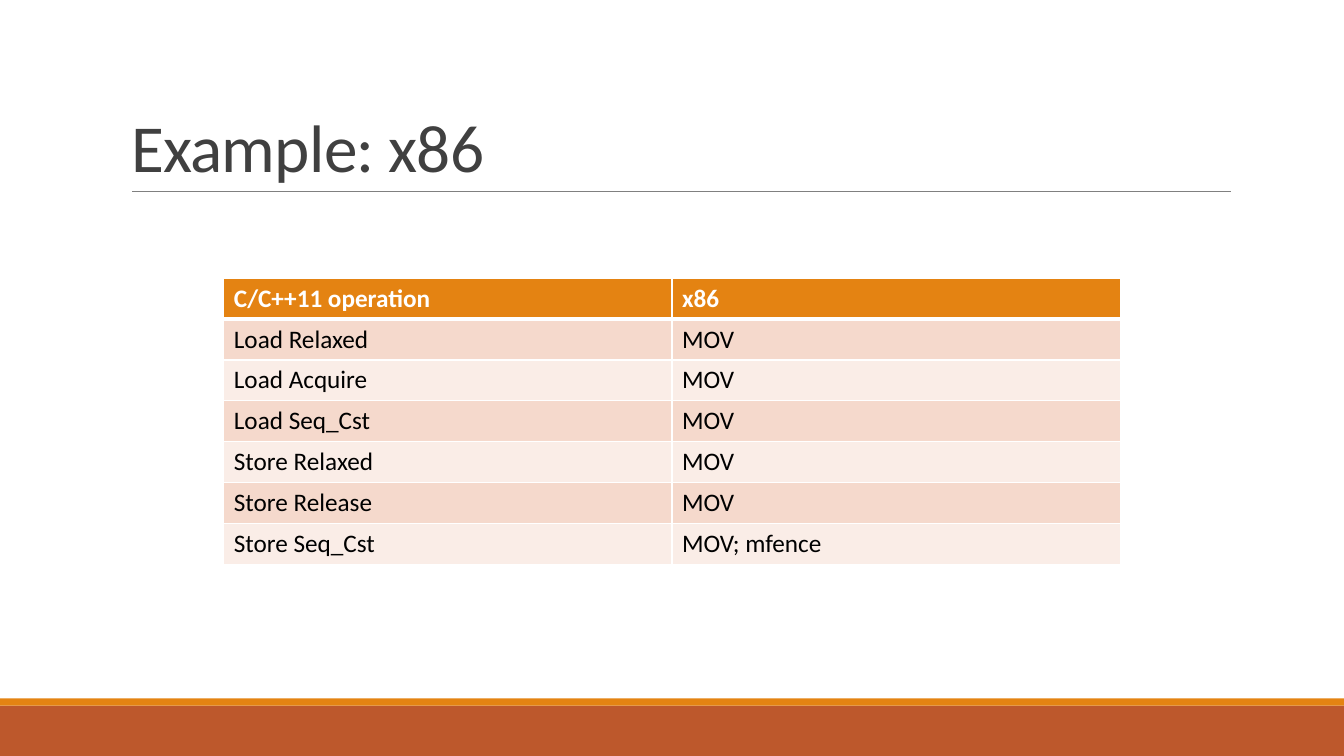
from dataclasses import dataclass

from lxml import etree
from pptx import Presentation
from pptx.dml.color import RGBColor
from pptx.enum.shapes import MSO_CONNECTOR, MSO_SHAPE
from pptx.enum.text import MSO_ANCHOR, MSO_AUTO_SIZE, PP_ALIGN
from pptx.oxml.ns import qn
from pptx.slide import Slide
from pptx.table import _Cell
from pptx.text.text import Font
from pptx.util import Inches, Pt

RECTANGLE = MSO_SHAPE.RECTANGLE
STRAIGHT = MSO_CONNECTOR.STRAIGHT
BOTTOM = MSO_ANCHOR.BOTTOM
LEFT = PP_ALIGN.LEFT
NO_AUTOFIT = MSO_AUTO_SIZE.NONE
TITLE_ONLY = 5


@dataclass(frozen=True)
class Theme:
    font: str = "Calibri"
    title_size: int = 48
    table_size: int = 18
    title: str = "404040"
    rule: str = "808080"
    accent: str = "E48312"
    footer: str = "BD582C"
    header_text: str = "FFFFFF"
    body_text: str = "000000"
    grid: str = "FFFFFF"
    bands: tuple[str, str] = ("F5D9CC", "FAEDE7")


@dataclass(frozen=True)
class Band:
    top: float
    height: float
    color: str


@dataclass(frozen=True)
class Mapping:
    operation: str
    x86: str


THEME = Theme()
SLIDE_WIDTH, SLIDE_HEIGHT = 13.33, 7.5
FOOTER_BANDS = [Band(7, 0.5, THEME.footer), Band(6.93, 0.07, THEME.accent)]
HEADER = Mapping("C/C++11 operation", "x86")
MAPPINGS = [
    Mapping("Load Relaxed", "MOV"),
    Mapping("Load Acquire", "MOV"),
    Mapping("Load Seq_Cst", "MOV"),
    Mapping("Store Relaxed", "MOV"),
    Mapping("Store Release", "MOV"),
    Mapping("Store Seq_Cst", "MOV; mfence"),
]


def format_font(font: Font, size: int, color: str, bold: bool = False) -> None:
    values = {"name": THEME.font, "size": Pt(size), "bold": bold}
    for attribute, value in values.items():
        setattr(font, attribute, value)
    font.color.rgb = RGBColor.from_string(color)


def draw_band(slide: Slide, band: Band) -> None:
    strip = slide.shapes.add_shape(
        RECTANGLE, 0, Inches(band.top), Inches(SLIDE_WIDTH), Inches(band.height))
    strip.shadow.inherit = False
    strip.fill.solid()
    strip.fill.fore_color.rgb = RGBColor.from_string(band.color)
    strip.line.fill.background()


def draw_title_rule(slide: Slide) -> None:
    rule = slide.shapes.add_connector(
        STRAIGHT, Inches(1.31), Inches(1.9), Inches(12.21), Inches(1.9))
    rule.line.color.rgb = RGBColor.from_string(THEME.rule)
    rule.line.width = Pt(0.5)
    etree.SubElement(rule._element.spPr, qn("a:effectLst"))


def write_title(slide: Slide, text: str) -> None:
    title = slide.shapes.title
    box = {"left": 1.2, "top": 0.31, "width": 11, "height": 1.59}
    for attribute, value in box.items():
        setattr(title, attribute, Inches(value))
    frame = title.text_frame
    frame.text = text
    frame.word_wrap = True
    frame.auto_size = NO_AUTOFIT
    frame.vertical_anchor = BOTTOM
    paragraph = frame.paragraphs[0]
    paragraph.alignment = LEFT
    paragraph.line_spacing = 0.85
    run = paragraph.runs[0]
    format_font(run.font, THEME.title_size, THEME.title)
    run._r.get_or_add_rPr().set("spc", "-50")


def set_borders(cell: _Cell, top: int, bottom: int) -> None:
    properties = cell._tc.get_or_add_tcPr()
    for side, width in {"L": 1, "R": 1, "T": top, "B": bottom}.items():
        border = etree.SubElement(properties, qn(f"a:ln{side}"), w=str(Pt(width)))
        fill = etree.SubElement(border, qn("a:solidFill"))
        etree.SubElement(fill, qn("a:srgbClr"), val=THEME.grid)


def draw_mapping_table(slide: Slide) -> None:
    rows = [HEADER, *MAPPINGS]
    table = slide.shapes.add_table(
        len(rows), 2, Inches(2.22), Inches(2.76), Inches(8.89), Inches(2.84)).table
    for row, mapping in enumerate(rows):
        is_header = row == 0
        fill = THEME.accent if is_header else THEME.bands[(row - 1) % 2]
        color = THEME.header_text if is_header else THEME.body_text
        for column, text in enumerate((mapping.operation, mapping.x86)):
            cell = table.cell(row, column)
            cell.text = text
            format_font(cell.text_frame.paragraphs[0].runs[0].font,
                        THEME.table_size, color, is_header)
            # Heavier line between the header and the body
            set_borders(cell, top=3 if row == 1 else 1, bottom=3 if is_header else 1)
            cell.fill.solid()
            cell.fill.fore_color.rgb = RGBColor.from_string(fill)


def main() -> None:
    presentation = Presentation()
    presentation.slide_width = Inches(SLIDE_WIDTH)
    presentation.slide_height = Inches(SLIDE_HEIGHT)
    slide = presentation.slides.add_slide(presentation.slide_layouts[TITLE_ONLY])

    # Footer bands
    for band in FOOTER_BANDS:
        draw_band(slide, band)

    # Title with its rule
    draw_title_rule(slide)
    write_title(slide, "Example: x86")

    # Operations and their instructions
    draw_mapping_table(slide)
    presentation.save("out.pptx")


if __name__ == "__main__":
    main()
